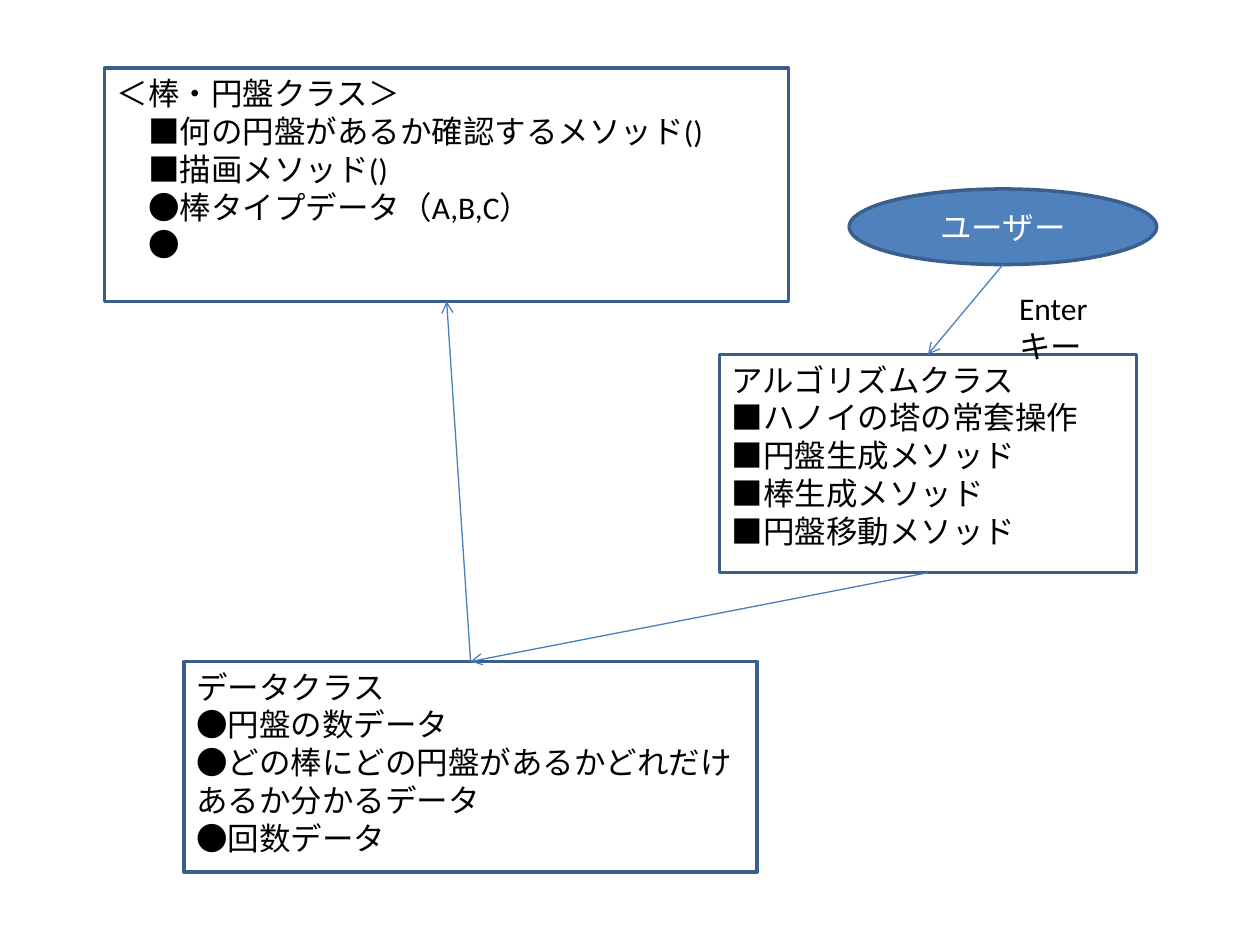
from pptx import Presentation
from pptx.util import Inches, Pt
from pptx.dml.color import RGBColor
from pptx.enum.shapes import MSO_SHAPE, MSO_CONNECTOR
from pptx.enum.text import PP_ALIGN, MSO_ANCHOR, MSO_AUTO_SIZE
from pptx.oxml.ns import qn
from lxml.etree import SubElement

WHITE = RGBColor(0xFF, 0xFF, 0xFF)
BLACK = RGBColor(0, 0, 0)
BLUE = RGBColor(0x4F, 0x81, 0xBD)
EDGE = RGBColor(0x3A, 0x5F, 0x8C)
WIRE = RGBColor(0x4B, 0x7E, 0xBC)
WIDE, HIGH = 10, 7.5
TOP, BOTTOM = 0, 2

# Content: name -> place (shares of the slide's size) and lines
BOXES = {
    "data": ((.146, .7, .455, .223), [
        "データクラス", "●円盤の数データ",
        "●どの棒にどの円盤があるかどれだけあるか分かるデータ",
        "●回数データ"]),
    "rod": ((.083, .072, .543, .247), [
        "＜棒・円盤クラス＞", "　■何の円盤があるか確認するメソッド()",
        "　■描画メソッド()", "　●棒タイプデータ（A,B,C）", "　●"]),
    "algo": ((.571, .375, .331, .231), [
        "アルゴリズムクラス", "■ハノイの塔の常套操作", "■円盤生成メソッド",
        "■棒生成メソッド", "■円盤移動メソッド"]),
}
USER = ((.674, .2, .244, .08), ["ユーザー"])
LABEL = ((.799, .299, .123, .053), ["Enterキー"])
LINKS = [("user", "algo"), ("algo", "data"), ("data", "rod")]

# Formats
FONT = {"name": "Calibri", "size": Pt(18)}
CLASS = {"vertical_anchor": MSO_ANCHOR.TOP, "word_wrap": True}
OVAL = {"vertical_anchor": MSO_ANCHOR.MIDDLE, "word_wrap": True}
NOTE = {"word_wrap": False, "auto_size": MSO_AUTO_SIZE.SHAPE_TO_FIT_TEXT}


def place(share):
    x, y, w, h = share
    return [Inches(v) for v in (x * WIDE, y * HIGH, w * WIDE, h * HIGH)]


def assign(item, form):
    for key, val in form.items():
        setattr(item, key, val)


def write(shape, lines, form, color, align=PP_ALIGN.LEFT):
    frame = shape.text_frame
    frame.text = "\n".join(lines)
    assign(frame, form)
    for para in frame.paragraphs:
        para.alignment = align
        for run in para.runs:
            assign(run.font, FONT)
            run.font.color.rgb = color


def draw(kind, share, fill):
    shape = slide.shapes.add_shape(kind, *place(share))
    shape.shadow.inherit = False
    shape.fill.solid()
    shape.fill.fore_color.rgb = fill
    shape.line.color.rgb = EDGE
    shape.line.width = Pt(2)
    return shape


def link(start, end):
    # Arrows into the rod box run upward to its bottom side
    up = end.top < start.top
    low, high = (TOP, BOTTOM) if up else (BOTTOM, TOP)
    points = []
    for shape, side in ((start, low), (end, high)):
        points += [shape.left + shape.width // 2,
                   shape.top + (shape.height if side == BOTTOM else 0)]
    wire = slide.shapes.add_connector(MSO_CONNECTOR.STRAIGHT, *points)
    if start is not parts["user"]:
        wire.begin_connect(start, low)
    wire.end_connect(end, high)
    wire.line.color.rgb = WIRE
    wire.line.width = Pt(.75)
    SubElement(wire.line._get_or_add_ln(), qn("a:tailEnd"), type="arrow")
    SubElement(wire._element.spPr, qn("a:effectLst"))


deck = Presentation()
deck.slide_width, deck.slide_height = Inches(WIDE), Inches(HIGH)
slide = deck.slides.add_slide(deck.slide_layouts[6])

# Class boxes
parts = {}
for name, (share, lines) in BOXES.items():
    parts[name] = draw(MSO_SHAPE.RECTANGLE, share, WHITE)
    write(parts[name], lines, CLASS, BLACK)

# User and key label
parts["user"] = draw(MSO_SHAPE.OVAL, USER[0], BLUE)
write(parts["user"], USER[1], OVAL, WHITE, PP_ALIGN.CENTER)
note = slide.shapes.add_textbox(*place(LABEL[0]))
write(note, LABEL[1], NOTE, BLACK)

# Arrows
for start, end in LINKS:
    link(parts[start], parts[end])

deck.save("out.pptx")
